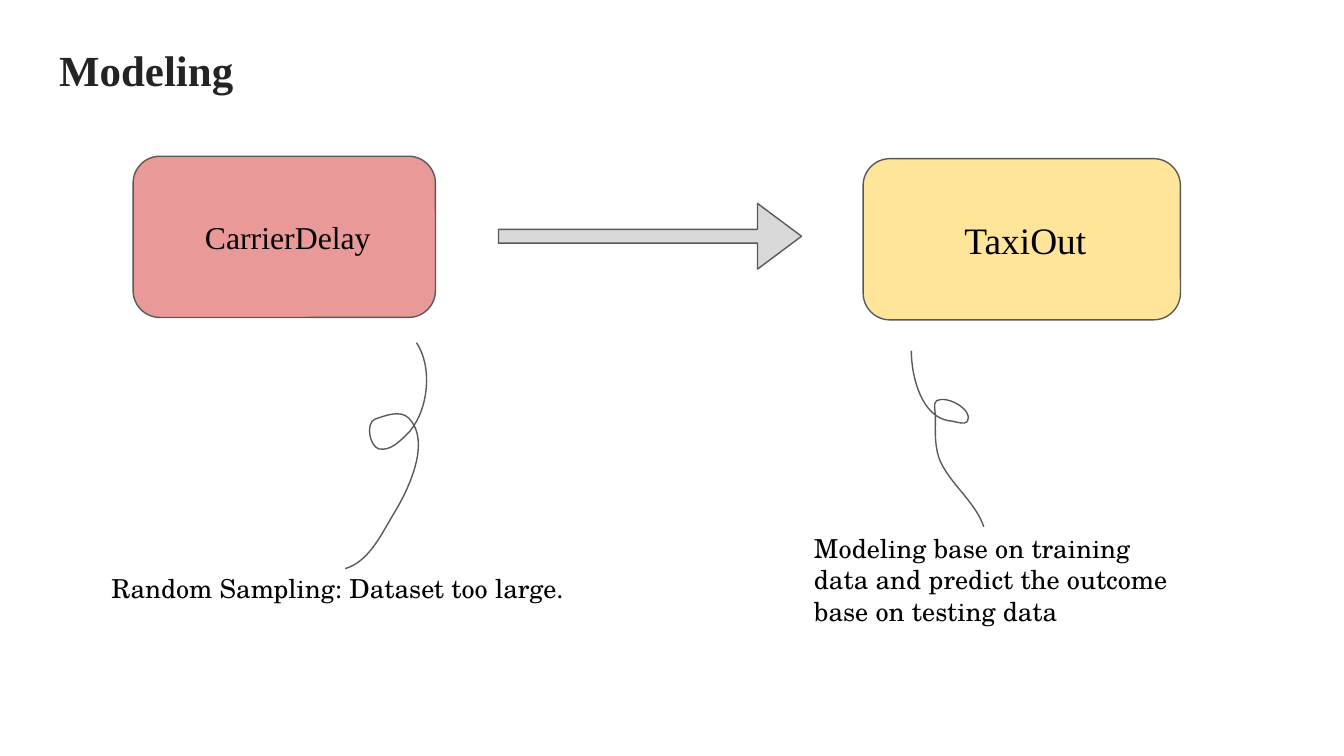
"""Build the Modeling slide: two linked stages with curly leaders to notes."""
from pptx import Presentation
from pptx.dml.color import RGBColor
from pptx.enum.shapes import MSO_SHAPE
from pptx.enum.text import MSO_ANCHOR, MSO_AUTO_SIZE, PP_ALIGN
from pptx.oxml.ns import qn
from pptx.util import Pt

ROUNDED, ARROW = MSO_SHAPE.ROUNDED_RECTANGLE, MSO_SHAPE.RIGHT_ARROW
TOP, MIDDLE = MSO_ANCHOR.TOP, MSO_ANCHOR.MIDDLE
LEFT, CENTER = PP_ALIGN.LEFT, PP_ALIGN.CENTER
NO_FIT = MSO_AUTO_SIZE.NONE

BLACK = RGBColor(0x00, 0x00, 0x00)
INK = RGBColor(0x24, 0x24, 0x24)
OUTLINE = RGBColor(0x59, 0x59, 0x59)
RED = RGBColor(0xEA, 0x99, 0x99)
YELLOW = RGBColor(0xFF, 0xE5, 0x99)
GRAY = RGBColor(0xD9, 0xD9, 0xD9)
SERIF, SCHOLA = "Times New Roman", "TeX Gyre Schola"


def write(shape, text, font, size, color=BLACK, anchor=TOP, align=LEFT):
    tf = shape.text_frame
    tf.text = text
    tf.word_wrap = True
    tf.auto_size = NO_FIT
    tf.vertical_anchor = anchor
    tf.margin_left = tf.margin_right = tf.margin_top = tf.margin_bottom = Pt(7.2)
    p = tf.paragraphs[0]
    p.alignment = align
    p.font.name, p.font.size, p.font.color.rgb = font, Pt(size), color
    return tf


def outline(shape):
    shape.shadow.inherit = False
    shape.line.color.rgb = OUTLINE
    shape.line.width = Pt(0.75)


prs = Presentation()
prs.slide_width, prs.slide_height = Pt(720), Pt(405)
s = prs.slides.add_slide(prs.slide_layouts[5])

title = s.shapes.title
title.left, title.top, title.width, title.height = Pt(24.5), Pt(16), Pt(671), Pt(45)
tf = write(title, "Modeling", SERIF, 23, INK)
tf.paragraphs[0].font.bold = True

stages = [
    ("CarrierDelay", 17, RED, 71.3, 83.7, 162),
    ("TaxiOut", 20, YELLOW, 462.4, 85, 170),
]
for text, size, fill, x, y, w in stages:
    sp = s.shapes.add_shape(ROUNDED, Pt(x), Pt(y), Pt(w), Pt(86.4))
    sp.fill.solid()
    sp.fill.fore_color.rgb = fill
    outline(sp)
    tf = write(sp, text, SERIF, size, anchor=MIDDLE, align=CENTER)
    tf.margin_left = Pt(11)

arrow = s.shapes.add_shape(ARROW, Pt(267.1), Pt(109), Pt(162.3), Pt(35.2))
arrow.adjustments[0], arrow.adjustments[1] = 0.21, 0.67
arrow.fill.solid()
arrow.fill.fore_color.rgb = GRAY
outline(arrow)

leaders = [
    (43.2, [(223.2, 183.6), (231.8, 196.6), (229.7, 218.9), (219.6, 231.1),
            (215.3, 235.4), (209.5, 241.9), (203, 240.5),
            (198, 239), (195.8, 226.8), (200.9, 224.6),
            (206.6, 222.5), (214.6, 219.6), (218.9, 223.9),
            (231.1, 236.2), (219.6, 261.4), (210.2, 276.5),
            (203.8, 287.3), (197.3, 301), (185, 304.6)]),
    (38.8, [(488.2, 187.9), (488.2, 202.3), (493.9, 223.2), (508.3, 225.4),
            (511.2, 225.4), (517, 228.2), (518.4, 225.4),
            (521.3, 219.6), (507.6, 211.7), (501.8, 214.6),
            (499.7, 216), (501.1, 220.3), (501.1, 223.2),
            (501.1, 231.1), (500.4, 239.8), (504, 247.7),
            (509.8, 259.9), (522.7, 269.3), (527, 282.2)]),
]
for width, knots in leaders:
    points = [(Pt(x), Pt(y)) for x, y in knots]
    builder = s.shapes.build_freeform(*points[0])
    builder.add_line_segments(points[1:], close=False)
    leader = builder.convert_to_shape()
    leader.width = Pt(width)
    leader.fill.background()
    outline(leader)
    outline_path = next(leader._element.iter(qn("a:path")))
    outline_path.set("w", str(leader.width))
    segments = outline_path.findall(qn("a:lnTo"))
    for curve, second, third in zip(segments[::3], segments[1::3], segments[2::3]):
        curve.tag = qn("a:cubicBezTo")
        for segment in (second, third):
            curve.append(segment[0])
            outline_path.remove(segment)

notes = [
    ("Random Sampling: Dataset too large.", 52.6, 299.5, 439, 32),
    ("Modeling base on training data and predict the outcome base on testing data",
     429, 278, 210, 65.5),
]
for text, x, y, w, h in notes:
    write(s.shapes.add_textbox(Pt(x), Pt(y), Pt(w), Pt(h)), text, SCHOLA, 14)

prs.save("out.pptx")
